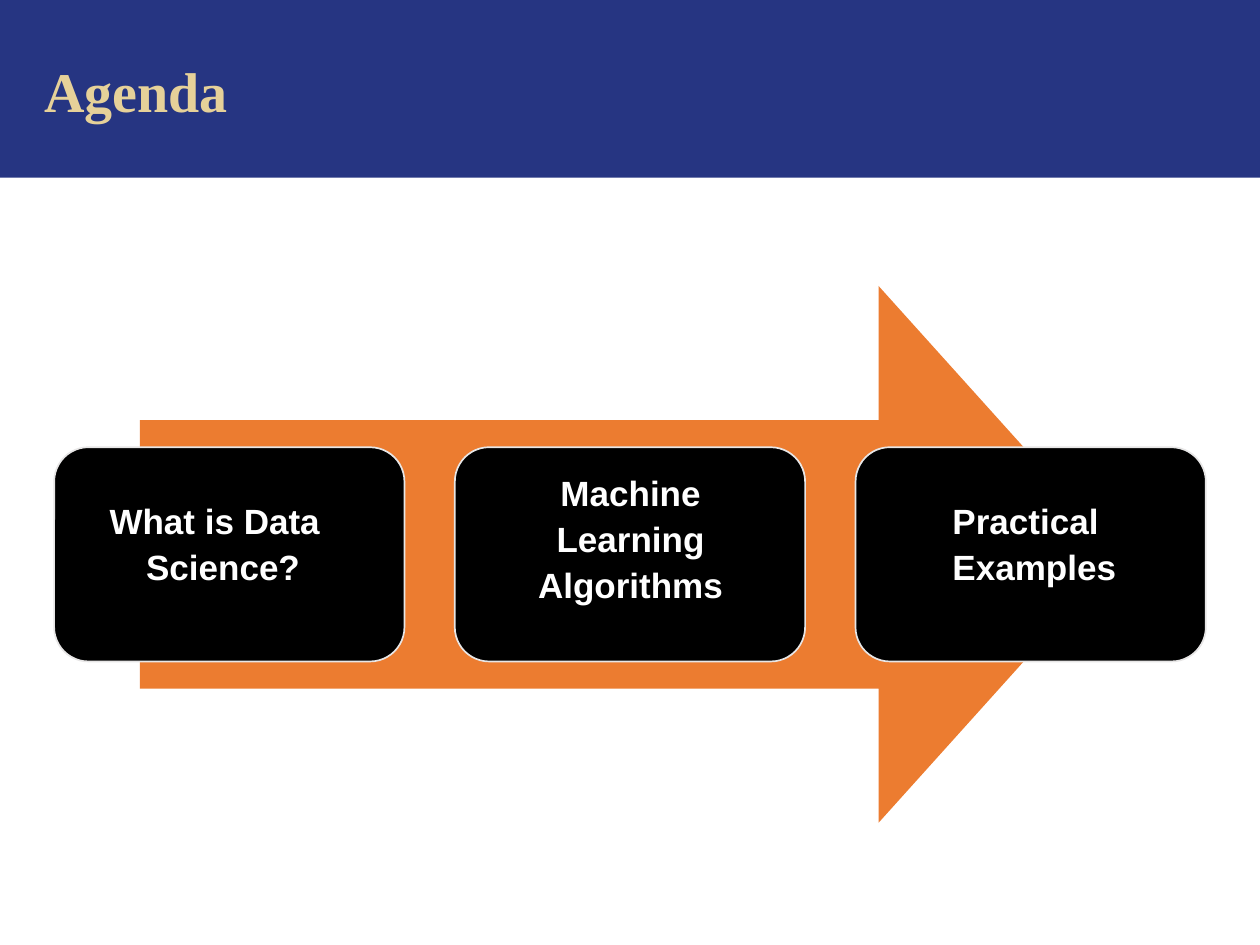
from dataclasses import dataclass

import pptx
import pptx.dml.color
import pptx.enum.shapes
import pptx.enum.text
import pptx.util

Inches = pptx.util.Inches
Pt = pptx.util.Pt
Shape = pptx.enum.shapes.MSO_SHAPE
Align = pptx.enum.text.PP_ALIGN


@dataclass(frozen=True)
class Theme:
    band: str = "263582"
    title: str = "E6D199"
    arrow: str = "EC7C30"
    card: str = "000000"
    card_line: str = "E7E6E6"
    card_text: str = "FFFFFF"
    title_font: str = "Times New Roman"
    body_font: str = "Arial"
    title_size: float = 32
    title_spacing: float = 42
    body_size: float = 20
    body_spacing: float = 26.4
    space_before: float = 3.6
    line_width: float = 0.96


def color(value):
    return pptx.dml.color.RGBColor.from_string(value)


class SlideBuilder:
    def __init__(self, slide, theme):
        self.slide = slide
        self.theme = theme

    def shape(self, kind, box, fill, line=None, adjustments=()):
        shape = self.slide.shapes.add_shape(kind, *map(Inches, box))
        shape.shadow.inherit = False
        shape.fill.solid()
        shape.fill.fore_color.rgb = color(fill)
        if line:
            shape.line.color.rgb = color(line)
            shape.line.width = Pt(self.theme.line_width)
        else:
            shape.line.fill.background()
        for index, value in enumerate(adjustments):
            shape.adjustments[index] = value
        return shape

    def set_text(self, shape, text, font, size, text_color, spacing, align=Align.LEFT):
        frame = shape.text_frame
        frame.text = text
        frame.word_wrap = True
        frame.auto_size = pptx.enum.text.MSO_AUTO_SIZE.NONE
        frame.vertical_anchor = pptx.enum.text.MSO_ANCHOR.TOP
        paragraph = frame.paragraphs[0]
        paragraph.alignment = align
        paragraph.line_spacing = Pt(spacing)
        for run in paragraph.runs:
            run.font.name = font
            run.font.size = Pt(size)
            run.font.bold = True
            run.font.color.rgb = color(text_color)
        return paragraph

    def title(self, text, box):
        """Fill the title placeholder and bring it in front of the band."""
        theme = self.theme
        title = self.slide.shapes.title
        title.left, title.top, title.width, title.height = map(Inches, box)
        self.set_text(title, text, theme.title_font, theme.title_size,
                      theme.title, theme.title_spacing)
        self.slide.shapes._spTree.append(title._element)

    def label(self, text, box, align, margin, indent):
        theme = self.theme
        label = self.slide.shapes.add_textbox(*map(Inches, box))
        frame = label.text_frame
        frame.margin_left = frame.margin_right = frame.margin_bottom = 0
        frame.margin_top = Inches(0.05)
        paragraph = self.set_text(label, text, theme.body_font, theme.body_size,
                                  theme.card_text, theme.body_spacing, align)
        paragraph.space_before = Pt(theme.space_before)
        properties = paragraph._p.get_or_add_pPr()
        properties.set("marL", str(Inches(margin)))
        properties.set("indent", str(Inches(indent)))


def main():
    presentation = pptx.Presentation()
    presentation.slide_width = Inches(10)
    presentation.slide_height = Inches(7.5)
    theme = Theme()
    slide = presentation.slides.add_slide(presentation.slide_layouts[5])
    builder = SlideBuilder(slide, theme)

    builder.shape(Shape.RECTANGLE, (0, 0, 10, 1.41), theme.band)
    builder.title("Agenda", (0.25, 0.35, 8.7, 0.73))
    builder.shape(Shape.RIGHT_ARROW, (1.11, 2.27, 7.78, 4.26), theme.arrow,
                  adjustments=(0.5, 0.45))

    # Text, label box, alignment, left margin, first-line indent
    topics = [
        ("What is Data Science?", (0.86, 3.88, 1.9, 0.75), Align.LEFT, 0.3, -0.29),
        ("Machine Learning Algorithms", (4.18, 3.66, 1.64, 1.12), Align.CENTER, 0.01, 0),
        ("Practical Examples", (7.55, 3.88, 1.4, 0.75), Align.LEFT, 0.01, 0),
    ]
    first_left, pitch = 0.43, 3.18
    for index, (text, label_box, align, margin, indent) in enumerate(topics):
        card_box = (first_left + index * pitch, 3.55, 2.78, 1.7)
        builder.shape(Shape.ROUNDED_RECTANGLE, card_box, theme.card,
                      theme.card_line, adjustments=(0.16,))
        builder.label(text, label_box, align, margin, indent)

    presentation.save("out.pptx")


if __name__ == "__main__":
    main()
